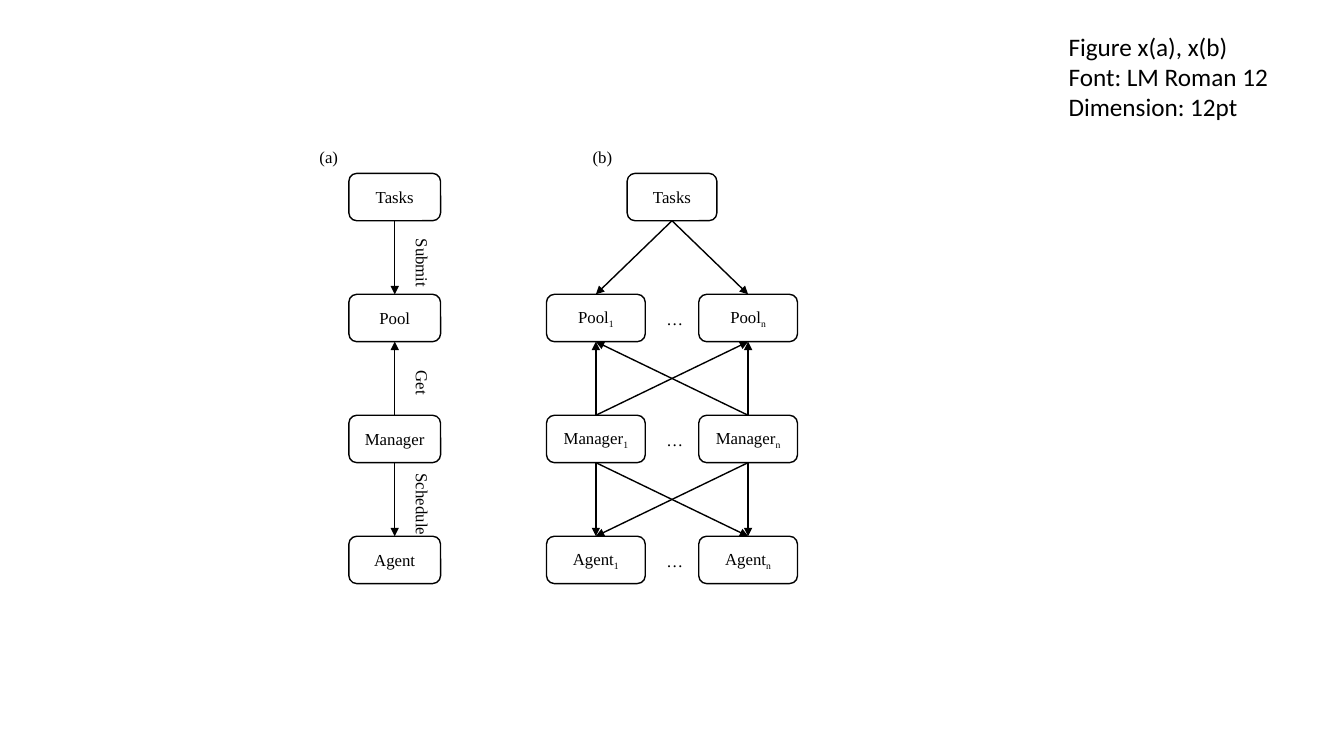
from dataclasses import dataclass

from lxml import etree
from pptx import Presentation
from pptx.dml.color import RGBColor
from pptx.enum.shapes import MSO_CONNECTOR, MSO_SHAPE
from pptx.enum.text import MSO_ANCHOR, MSO_AUTO_SIZE, PP_ALIGN
from pptx.oxml.ns import qn
from pptx.util import Inches, Pt

STRAIGHT = MSO_CONNECTOR.STRAIGHT
ROUNDED = MSO_SHAPE.ROUNDED_RECTANGLE
MIDDLE = MSO_ANCHOR.MIDDLE
FIT = MSO_AUTO_SIZE.SHAPE_TO_FIT_TEXT
LEFT, CENTER = PP_ALIGN.LEFT, PP_ALIGN.CENTER
TOP, BOTTOM = 0, 2


@dataclass(frozen=True)
class Theme:
    ink: RGBColor = RGBColor(0, 0, 0)
    serif: str = "Times New Roman"
    sans: str = "Calibri"
    label: int = 12
    note: int = 18
    line: int = 1


THEME = Theme()
ROWS = [1.72 + 1.2 * i for i in range(4)]
HEIGHT = 0.47
NAMES = ["Tasks", "Pool", "Manager", "Agent"]


def write(frame, text, sub="", font=THEME.serif, size=THEME.label, align=LEFT):
    for i, line in enumerate(text.split("\n")):
        para = frame.paragraphs[0] if i == 0 else frame.add_paragraph()
        para.alignment = align
        for part in filter(None, (line, sub)):
            run = para.add_run()
            run.text = part
            run.font.name = font
            run.font.size = Pt(size)
            run.font.color.rgb = THEME.ink
            if part == sub:
                run._r.get_or_add_rPr().set("baseline", "-25000")


def add_label(slide, text, x, y, w, h, turn=False, **style):
    area = slide.shapes.add_textbox(Inches(x), Inches(y), Inches(w), Inches(h))
    frame = area.text_frame
    frame.word_wrap = False
    frame.auto_size = FIT
    if turn:
        frame._txBody.bodyPr.set("vert", "vert")
    write(frame, text, **style)


def add_box(slide, text, x, y, w, sub=""):
    box = slide.shapes.add_shape(ROUNDED, Inches(x), Inches(y), Inches(w), Inches(HEIGHT))
    box.shadow.inherit = False
    box.fill.background()
    box.line.color.rgb = THEME.ink
    box.line.width = Pt(THEME.line)
    box.text_frame.word_wrap = True
    box.text_frame.vertical_anchor = MIDDLE
    write(box.text_frame, text, sub=sub, align=CENTER)
    return box


def add_arrow(slide, start, end, up=False):
    arrow = slide.shapes.add_connector(STRAIGHT, 0, 0, 0, 0)
    arrow.begin_connect(start, TOP if up else BOTTOM)
    arrow.end_connect(end, BOTTOM if up else TOP)
    arrow.line.color.rgb = THEME.ink
    arrow.line.width = Pt(THEME.line)
    tip = etree.SubElement(arrow.line._get_or_add_ln(), qn("a:tailEnd"))
    tip.set("type", "triangle")
    etree.SubElement(arrow._element.spPr, qn("a:effectLst"))


def link_rows(slide, rows):
    tasks, pools, chiefs, agents = rows
    for sources, targets, up in (
        (tasks, pools, False),
        (chiefs, pools, True),
        (chiefs, agents, False),
    ):
        for source in sources:
            for target in targets:
                add_arrow(slide, source, target, up)


def add_single(slide):
    add_label(slide, "(a)", 3.07, 1.41, 0.41, 0.3)
    link_rows(slide, [[add_box(slide, name, 3.46, y, 0.91)] for name, y in zip(NAMES, ROWS)])
    for text, y, h in (("Submit", 2.27, 0.62), ("Get", 3.58, 0.37), ("Schedule", 4.6, 0.73)):
        add_label(slide, text, 3.94, y, 0.4, h, turn=True)


def add_multi(slide):
    add_label(slide, "(b)", 5.78, 1.41, 0.42, 0.3)
    rows = [[add_box(slide, NAMES[0], 6.22, ROWS[0], 0.89)]]
    for name, y in zip(NAMES[1:], ROWS[1:]):
        rows.append([add_box(slide, name, x, y, 0.98, sub) for x, sub in ((5.42, "1"), (6.93, "n"))])
        add_label(slide, "…", 6.51, y + 0.09, 0.32, 0.3)
    link_rows(slide, rows)


def main():
    deck = Presentation()
    deck.slide_width, deck.slide_height = Inches(13.33), Inches(7.5)
    slide = deck.slides.add_slide(deck.slide_layouts[6])
    add_label(
        slide, "Figure x(a), x(b)\nFont: LM Roman 12\nDimension: 12pt",
        10.5, 0.26, 2.2, 1.01, font=THEME.sans, size=THEME.note,
    )
    add_single(slide)
    add_multi(slide)
    deck.save("out.pptx")


if __name__ == "__main__":
    main()
